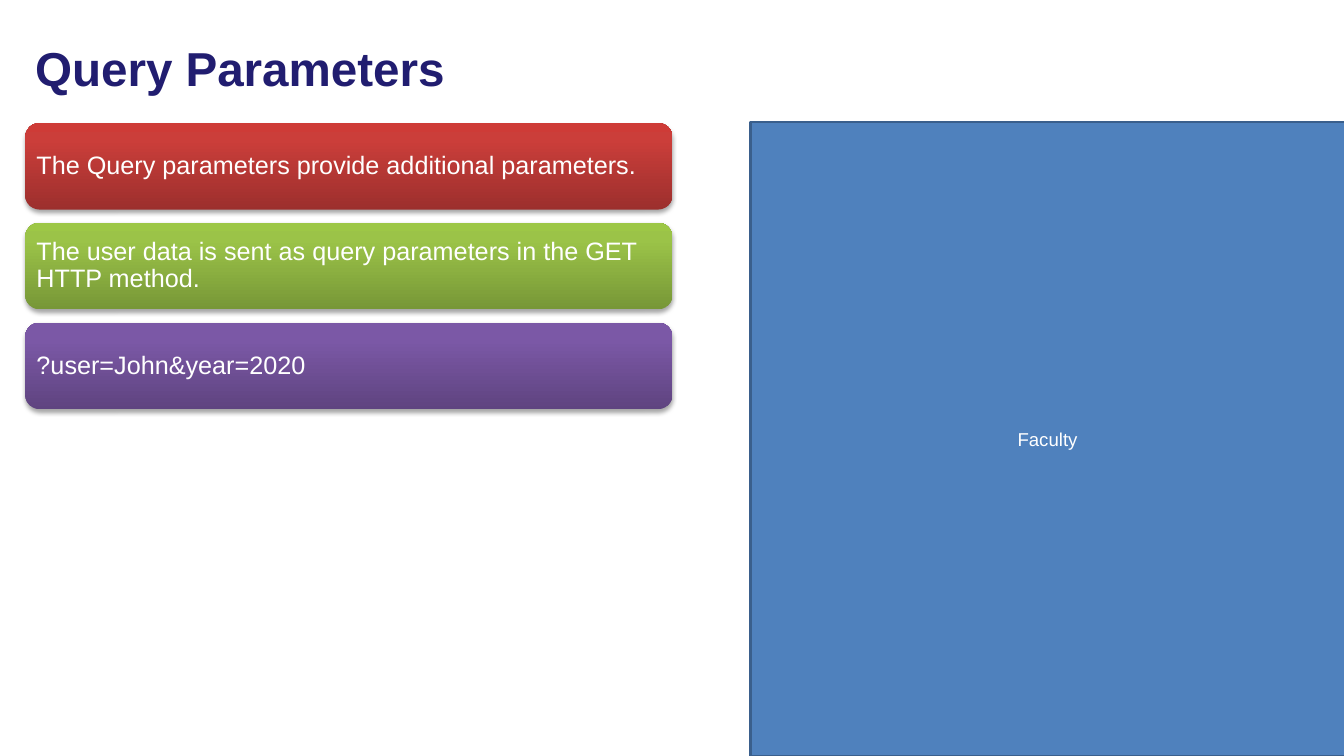
from lxml import etree
from pptx import Presentation
from pptx import util as u
from pptx.dml.color import RGBColor
from pptx.enum import shapes, text

COLORS = {
    "title": "211D70", "white": "FFFFFF", "panel": "4F81BD",
    "panel_line": "3A5F8C", "shadow": "000000",
}
# Each card: text, then gradient colours from bottom to top
CARDS = [
    ("The Query parameters provide additional parameters.",
     ("9C2F2D", "CB3E3A", "CE3B37")),
    ("The user data is sent as query parameters in the GET HTTP method.",
     ("779737", "9BC348", "9DC746")),
    ("?user=John&year=2020", ("5F4480", "7B58A6", "7C57A8")),
]
GRADIENT_STOPS = (0, 80, 100)
DRAWING_NS = "http://schemas.openxmlformats.org/drawingml/2006/main"


def drawing_element(xml):
    return etree.fromstring(f'<a:root xmlns:a="{DRAWING_NS}">{xml}</a:root>')[0]


class SlideBuilder:
    def __init__(self, page, font="Arial"):
        self.page = page
        self.font = font

    def add_words(self, shape, words, size, color, inset=(0.1, 0.05),
                  bold=False, align=text.PP_ALIGN.LEFT, spacing=0.9):
        frame = shape.text_frame
        frame.word_wrap = True
        frame.vertical_anchor = text.MSO_ANCHOR.MIDDLE
        frame.margin_left = frame.margin_right = u.Inches(inset[0])
        frame.margin_top = frame.margin_bottom = u.Inches(inset[1])
        para = frame.paragraphs[0]
        para.alignment = align
        para.line_spacing = spacing
        span = para.add_run()
        span.text = words
        span.font.name = self.font
        span.font.size = u.Pt(size)
        span.font.bold = bold
        span.font.color.rgb = RGBColor.from_string(COLORS[color])

    def shape(self, kind, *place):
        shape = self.page.shapes.add_shape(kind, *map(u.Inches, place))
        shape.shadow.inherit = False
        return shape

    def title(self, words, *place):
        box = self.page.shapes.add_textbox(*map(u.Inches, place))
        self.add_words(box, words, 34, "title", bold=True)

    def panel(self, words, *place):
        panel = self.shape(shapes.MSO_SHAPE.RECTANGLE, *place)
        panel.fill.solid()
        panel.fill.fore_color.rgb = RGBColor.from_string(COLORS["panel"])
        panel.line.color.rgb = RGBColor.from_string(COLORS["panel_line"])
        panel.line.width = u.Pt(2)
        self.add_words(panel, words, 13.3, "white",
                       align=text.PP_ALIGN.CENTER, spacing=1.0)

    def card(self, words, gradient, *place):
        """Rounded box with a vertical gradient and a soft shadow below."""
        card = self.shape(shapes.MSO_SHAPE.ROUNDED_RECTANGLE, *place)
        card.line.fill.background()
        stops = "".join(
            f'<a:gs pos="{stop * 1000}"><a:srgbClr val="{color}"/></a:gs>'
            for stop, color in zip(GRADIENT_STOPS, gradient))
        properties = card._element.spPr
        properties.find(f"{{{DRAWING_NS}}}prstGeom").addnext(drawing_element(
            f'<a:gradFill rotWithShape="1"><a:gsLst>{stops}</a:gsLst>'
            '<a:lin ang="16200000" scaled="0"/></a:gradFill>'))
        properties.find(f"{{{DRAWING_NS}}}effectLst").append(drawing_element(
            f'<a:outerShdw blurRad="{u.Pt(3.1)}" dist="{u.Pt(1.8)}" '
            'dir="5400000" rotWithShape="0">'
            f'<a:srgbClr val="{COLORS["shadow"]}"><a:alpha val="35000"/>'
            '</a:srgbClr></a:outerShdw>'))
        self.add_words(card, words, 18, "white", inset=(0.07, 0.07))


def main():
    deck = Presentation()
    deck.slide_width = u.Inches(13.33)
    deck.slide_height = u.Inches(7.5)
    builder = SlideBuilder(deck.slides.add_slide(deck.slide_layouts[6]))
    builder.panel("Faculty", 7.44, 1.21, 5.9, 6.29)
    builder.title("Query Parameters", 0.25, 0.25, 11.81, 0.91)
    for row, (words, gradient) in enumerate(CARDS):
        builder.card(words, gradient, 0.25, 1.22 + 0.99 * row, 6.42, 0.86)
    deck.save("out.pptx")


if __name__ == "__main__":
    main()
